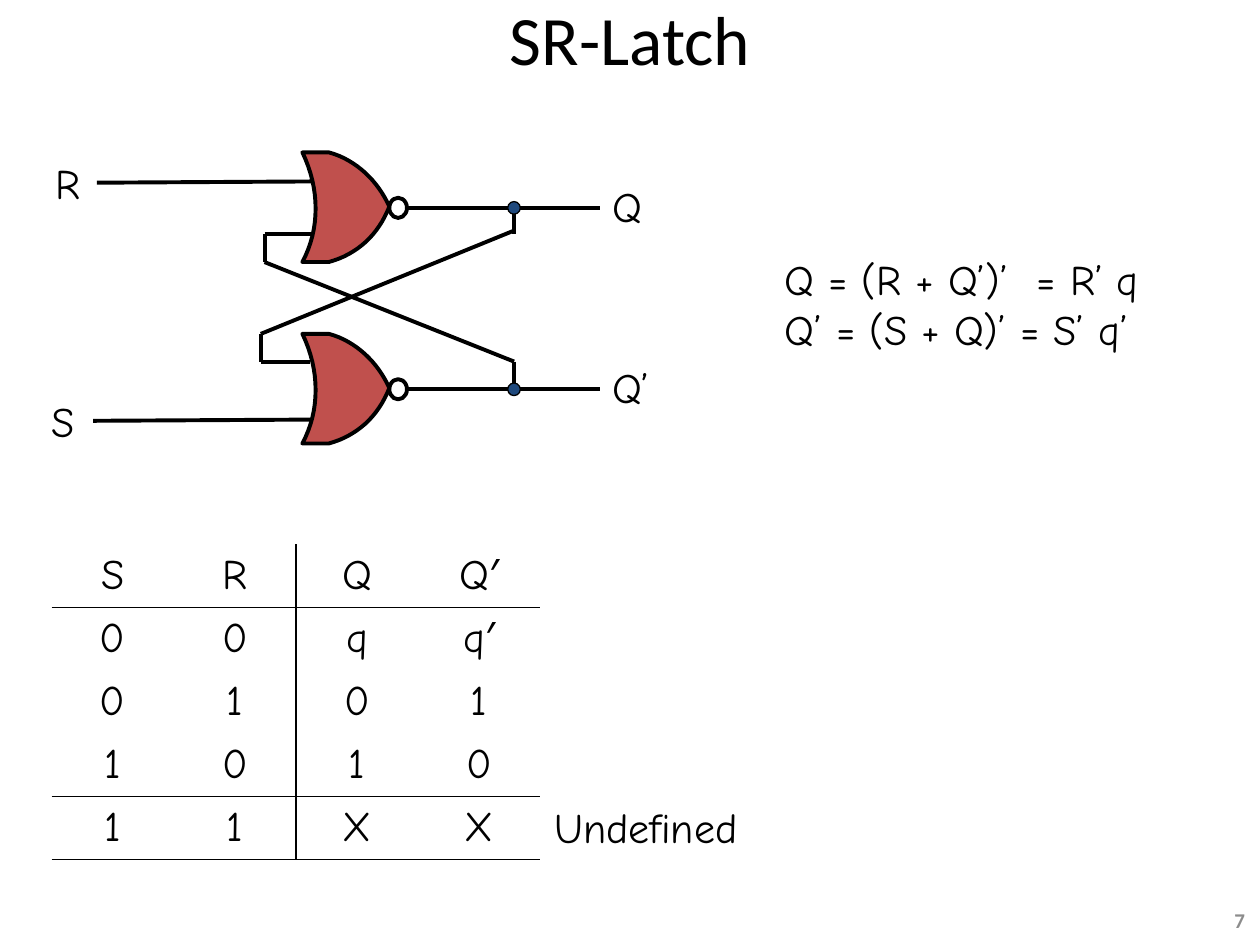
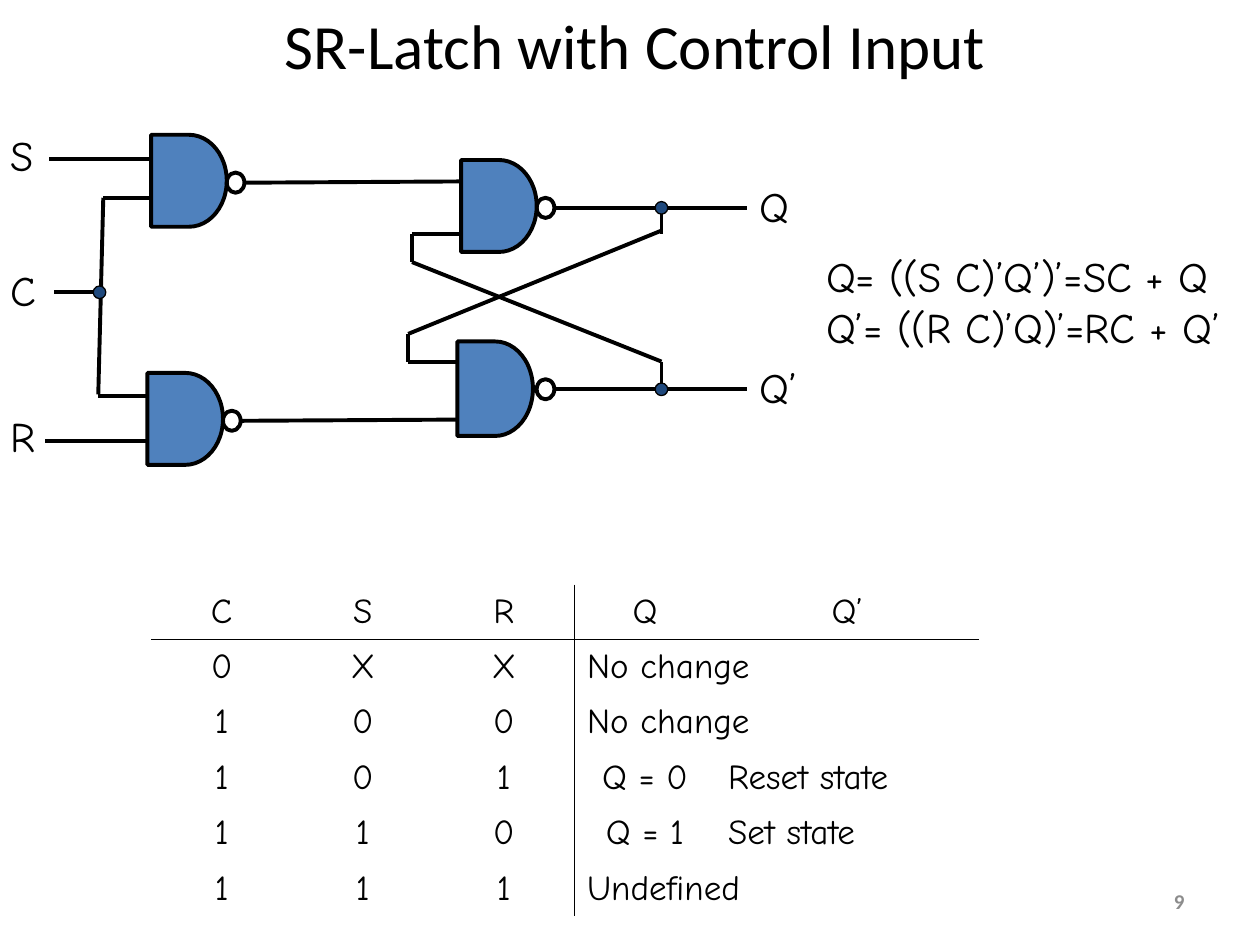
from dataclasses import dataclass
from typing import Any

from lxml.etree import SubElement
from pptx import Presentation
from pptx.dml.color import RGBColor
from pptx.enum.shapes import MSO_CONNECTOR, MSO_SHAPE
from pptx.enum.text import MSO_ANCHOR, MSO_AUTO_SIZE, PP_ALIGN
from pptx.oxml import parse_xml
from pptx.oxml.ns import nsdecls, qn
from pptx.util import Inches, Pt

BLACK = RGBColor(0x00, 0x00, 0x00)
GRAY = RGBColor(0x8C, 0x8C, 0x8C)
RED = RGBColor(0xC0, 0x50, 0x4D)
BLUE = RGBColor(0x4F, 0x81, 0xBD)
NAVY = RGBColor(0x1F, 0x49, 0x7D)
TITLE_FONT = "Calibri"
BODY_FONT = "Comic Neue"
TITLE_ONLY = 5
WIRE_WIDTH = 2.25
LATCH_PITCH = 1.44


def format_text(text_frame, size, font=BODY_FONT, color=BLACK, align=PP_ALIGN.LEFT, bold=False):
    """Apply one font and alignment to every paragraph of a frame."""
    for paragraph in text_frame.paragraphs:
        paragraph.alignment = align
        for run in paragraph.runs:
            run.font.name = font
            run.font.size = Pt(size)
            run.font.color.rgb = color
            run.font.bold = bold


def place(shape, box):
    """Move a shape to a box given in inches."""
    shape.left, shape.top, shape.width, shape.height = map(Inches, box)


def add_text(shapes, text, box, margin=None, **style):
    """Add an unwrapped text box."""
    textbox = shapes.add_textbox(*map(Inches, box))
    text_frame = textbox.text_frame
    text_frame.word_wrap = False
    if margin is not None:
        text_frame.margin_left = text_frame.margin_right = Inches(margin)
        text_frame.margin_top = text_frame.margin_bottom = Inches(margin)
    text_frame.text = text
    format_text(text_frame, **style)
    return textbox


def style_shape(shape, fill, line_width):
    """Give a shape a black outline, an optional fill and no shadow."""
    shape.shadow.inherit = False
    shape.line.color.rgb = BLACK
    shape.line.width = Pt(line_width)
    if fill is None:
        shape.fill.background()
    else:
        shape.fill.solid()
        shape.fill.fore_color.rgb = fill


@dataclass
class Circuit:
    """A group of circuit parts placed relative to its left and top."""

    shapes: Any
    left: float
    top: float

    def preset(self, kind, x, y, width, height, fill=None, line_width=WIRE_WIDTH):
        """Add a preset shape."""
        box = map(Inches, (self.left + x, self.top + y, width, height))
        style_shape(self.shapes.add_shape(kind, *box), fill, line_width)

    def bubble(self, x, y):
        """Add the inversion circle of a gate."""
        self.preset(MSO_SHAPE.OVAL, x, y, 0.14, 0.16)

    def junction(self, x, y):
        """Add a dot where wires join."""
        self.preset(MSO_SHAPE.OVAL, x, y, 0.1, 0.1, NAVY, 0.75)

    def and_gate(self, x, y, height=0.73):
        """Add the body of an AND gate."""
        self.preset(MSO_SHAPE.FLOWCHART_DELAY, x, y, 0.6, height, BLUE)

    def or_gate(self, x, y):
        """Add the body of an OR gate as a freeform."""
        tip, bottom, top = (0.69, 0.43), (0.21, 0.87), (0.21, 0)
        points = (curve(tip, (0.6, 0.66), (0.43, 0.81), bottom)
                  + curve((0, 0.87), (0.14, 0.61), (0.14, 0.29), (0, 0))
                  + curve(top, (0.43, 0.06), (0.6, 0.23), tip))
        outline = [(Inches(self.left + x + dx), Inches(self.top + y + dy)) for dx, dy in points]
        builder = self.shapes.build_freeform(*outline[0])
        builder.add_line_segments(outline[1:], close=True)
        style_shape(builder.convert_to_shape(), RED, WIRE_WIDTH)

    def wires(self, segments):
        """Add straight wires given as x1, y1, x2, y2."""
        for x1, y1, x2, y2 in segments:
            ends = (self.left + x1, self.top + y1, self.left + x2, self.top + y2)
            wire = self.shapes.add_connector(MSO_CONNECTOR.STRAIGHT, *map(Inches, ends))
            wire.line.color.rgb = BLACK
            wire.line.width = Pt(WIRE_WIDTH)
            SubElement(wire._element.spPr, qn("a:effectLst"))

    def label(self, text, x, y, width=0.23):
        """Add a signal name."""
        add_text(self.shapes, text, (self.left + x, self.top + y, width, 0.4), margin=0, size=24)


def curve(start, control1, control2, end, steps=16):
    """Return points along a cubic curve."""
    points = []
    for step in range(steps + 1):
        t = step / steps
        weights = ((1 - t) ** 3, 3 * t * (1 - t) ** 2, 3 * t ** 2 * (1 - t), t ** 3)
        points.append(tuple(
            sum(weight * value for weight, value in zip(weights, axis))
            for axis in zip(start, control1, control2, end)
        ))
    return points


def add_circuit(slide, left, top):
    """Start an empty circuit group on a slide."""
    return Circuit(slide.shapes.add_group_shape().shapes, left, top)


def add_latch(slide, left, top):
    """Draw the cross-coupled wiring, bubbles and outputs of a latch."""
    latch = add_circuit(slide, left, top)
    latch.wires([
        (-1.3, 0.25, 0.45, 0.24), (-1.33, 2.14, 0.42, 2.13),
        (0.03, 0.66, 0.42, 0.66), (0, 1.67, 0.39, 1.67),
        (0.03, 0.66, 0.03, 0.88), (0, 1.45, 0, 1.67),
        (0.03, 0.88, 2.01, 1.67), (0, 1.45, 2.01, 0.63),
        (2.01, 0.45, 2.01, 0.66), (2.01, 1.67, 2.01, 1.88),
    ])
    for row, (name, width) in enumerate((("Q", 0.3), ("Q’", 0.36))):
        offset = row * LATCH_PITCH
        latch.wires([(1.16, 0.45 + offset, 2.69, 0.45 + offset)])
        latch.bubble(1.02, 0.37 + offset)
        latch.junction(1.96, 0.4 + offset)
        latch.label(name, 2.79, 0.23 + offset, width)
    return latch


def add_nor_latch(slide, left, top):
    """Draw a latch of two NOR gates with inputs R and S."""
    latch = add_latch(slide, left, top)
    latch.or_gate(0.33, 0.01)
    latch.or_gate(0.33, 0.01 + LATCH_PITCH)
    latch.label("R", -1.63, 0.05)
    latch.label("S", -1.66, 1.94)


def add_nand_latch(slide, left, top):
    """Draw a latch of two NAND gates."""
    latch = add_latch(slide, left, top)
    latch.and_gate(0.42, 0.07)
    latch.and_gate(0.39, 1.51, 0.75)


def add_control_stage(slide, left, top):
    """Draw the NAND gates that combine S and R with C."""
    stage = add_circuit(slide, left, top)
    stage.wires([
        (0.31, 0.23, 1.12, 0.23), (0.28, 2.47, 1.09, 2.47),
        (0.74, 0.54, 1.12, 0.54), (0.7, 2.11, 1.09, 2.11),
        (0.74, 0.54, 0.7, 2.1), (0.35, 1.29, 0.74, 1.29),
    ])
    for x, y in ((1.12, 0.04), (1.09, 1.93)):
        stage.and_gate(x, y)
        stage.bubble(x + 0.6, y + 0.3)
    stage.junction(0.66, 1.24)
    for name, y in (("S", 0), ("C", 1.07), ("R", 2.23)):
        stage.label(name, 0, y)


def set_borders(cell, visible_sides):
    """Draw the named sides of a cell and hide the others."""
    properties = cell._tc.get_or_add_tcPr()
    for index, side in enumerate("LRTB"):
        paint = '<a:solidFill><a:srgbClr val="000000"/></a:solidFill>'
        if side not in visible_sides:
            paint = "<a:noFill/>"
        properties.insert(index, parse_xml(
            f'<a:ln{side} {nsdecls("a")} w="12700">{paint}</a:ln{side}>'))


def add_truth_table(slide, left, top, rows, widths, heights, size, divider, ruled_rows):
    """Add a table with a vertical divider and lines under the ruled rows."""
    box = map(Inches, (left, top, sum(widths), sum(heights)))
    table = slide.shapes.add_table(len(rows), len(widths), *box).table
    table.first_row = table.horz_banding = False
    for column, width in zip(table.columns, widths):
        column.width = Inches(width)
    for r, (values, height) in enumerate(zip(rows, heights)):
        table.rows[r].height = Inches(height)
        for c in range(len(widths)):
            cell = table.cell(r, c)
            cell.fill.background()
            cell.vertical_anchor = MSO_ANCHOR.MIDDLE
            sides = {"L": c == divider, "R": c == divider - 1,
                     "T": r - 1 in ruled_rows, "B": r in ruled_rows}
            set_borders(cell, [side for side, shown in sides.items() if shown])
            if c < len(values):
                cell.text_frame.text = values[c]
                is_phrase = len(values[c]) > 5
                format_text(cell.text_frame, size,
                            align=PP_ALIGN.LEFT if is_phrase else PP_ALIGN.CENTER)
        if len(values) < len(widths):
            table.cell(r, len(values) - 1).merge(table.cell(r, len(widths) - 1))


def add_titled_slide(presentation, title, title_box, title_size, number, number_box):
    """Add a slide with its title and slide number."""
    slide = presentation.slides.add_slide(presentation.slide_layouts[TITLE_ONLY])
    place(slide.shapes.title, title_box)
    text_frame = slide.shapes.title.text_frame
    text_frame.text = title
    text_frame.auto_size = MSO_AUTO_SIZE.NONE
    text_frame.vertical_anchor = MSO_ANCHOR.MIDDLE
    format_text(text_frame, title_size, TITLE_FONT, align=PP_ALIGN.CENTER)
    footer = add_text(slide.shapes, number, number_box, size=12, font=TITLE_FONT,
                      color=GRAY, align=PP_ALIGN.RIGHT, bold=True)
    footer.text_frame.word_wrap = True
    footer.text_frame.vertical_anchor = MSO_ANCHOR.MIDDLE
    return slide


def build_sr_latch(presentation):
    """Build the slide on the basic latch."""
    slide = add_titled_slide(presentation, "SR-Latch", (0.5, -0.03, 9, 0.66), 39.6,
                             "7", (7.65, 7.1, 2.33, 0.4))
    add_nor_latch(slide, 2.07, 1.2)
    rows = ["S R Q Q′", "0 0 q q′", "0 1 0 1", "1 0 1 0", "1 1 X X"]
    add_truth_table(slide, 0.41, 4.32, [row.split() for row in rows], [0.97] * 4, [0.5] * 5,
                    size=24, divider=2, ruled_rows=(0, 3, 4))
    add_text(slide.shapes, "Undefined", (4.3, 6.31, 1.83, 0.5), size=24)
    equations = add_text(slide.shapes, "Q = (R + Q’)’\t= R’ q\nQ’ = (S + Q)’ = S’ q’",
                         (6.13, 1.96, 3.12, 0.91), size=24)
    properties = equations.text_frame.paragraphs[0]._p.get_or_add_pPr()
    tab_list = SubElement(properties, qn("a:tabLst"))
    SubElement(tab_list, qn("a:tab"), pos=str(Inches(2)), algn="l")


def build_controlled_latch(presentation):
    """Build the slide on the latch with control input."""
    slide = add_titled_slide(presentation, "SR-Latch with Control Input", (0.25, 0, 9.58, 0.71), 36,
                             "9", (7.17, 6.95, 2.33, 0.4))
    add_nand_latch(slide, 3.24, 1.2)
    add_control_stage(slide, 0.08, 1.03)
    rows = [
        ("C", "S", "R", "Q", "Q’"),
        ("0", "X", "X", "No change"),
        ("1", "0", "0", "No change"),
        ("1", "0", "1", "Q = 0", "Reset state"),
        ("1", "1", "0", "Q = 1", "Set state"),
        ("1", "1", "1", "Undefined"),
    ]
    add_truth_table(slide, 1.2, 4.64, rows, [1.12] * 4 + [2.09], [0.42] + [0.44] * 5,
                    size=20, divider=3, ruled_rows=(0,))
    add_text(slide.shapes, "Q= ((S C)’Q’)’=SC + Q\nQ’= ((R C)’Q)’=RC + Q’",
             (6.46, 1.94, 3.54, 0.91), size=24)


def main():
    """Build and save the presentation."""
    presentation = Presentation()
    presentation.slide_width, presentation.slide_height = Inches(10), Inches(7.5)
    build_sr_latch(presentation)
    build_controlled_latch(presentation)
    presentation.save("out.pptx")


if __name__ == "__main__":
    main()
